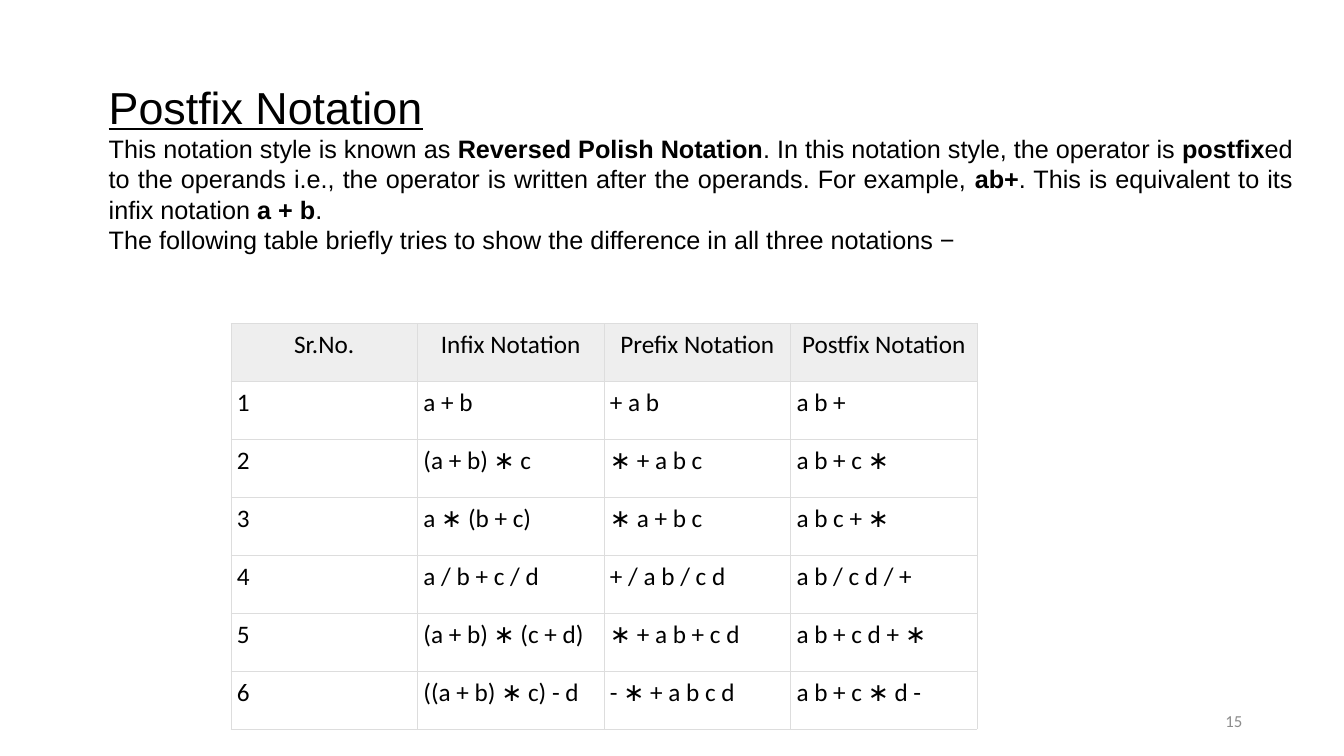
from lxml import etree
from pptx import Presentation
from pptx import util as u
from pptx.dml.color import RGBColor
from pptx.enum import text
from pptx.oxml import ns

TITLE = "Postfix Notation"
BODY = [
    [("This notation style is known as ", False), ("Reversed Polish Notation", True),
     (". In this notation style, the operator is ", False), ("postfix", True),
     ("ed to the operands i.e., the operator is written after the operands. For example, ", False),
     ("ab+", True), (". This is equivalent to its infix notation ", False),
     ("a + b", True), (".", False)],
    [("The following table briefly tries to show the difference in all three notations −", False)],
]
NOTATIONS = [
    ("Sr.No.", "Infix Notation", "Prefix Notation", "Postfix Notation"),
    ("1", "a + b", "+ a b", "a b +"),
    ("2", "(a + b) ∗ c", "∗ + a b c", "a b + c ∗"),
    ("3", "a ∗ (b + c)", "∗ a + b c", "a b c + ∗"),
    ("4", "a / b + c / d", "+ / a b / c d", "a b / c d / +"),
    ("5", "(a + b) ∗ (c + d)", "∗ + a b + c d", "a b + c d + ∗"),
    ("6", "((a + b) ∗ c) - d", "- ∗ + a b c d", "a b + c ∗ d -"),
]
PAGE = "15"
COLORS = {"ink": "000000", "header": "EEEEEE", "border": "DDDDDD", "page": "8C8C8C"}
COL_W, ROW_H, CELL_PAD = 1.85, 0.575, 0.06
ALIGN, ANCHOR = text.PP_ALIGN, text.MSO_ANCHOR


def add_run(p, words, size, font, color="ink", bold=False, underline=False):
    r = p.add_run()
    r.text = words
    r.font.size = u.Pt(size)
    r.font.name = font
    r.font.bold = bold
    r.font.underline = underline
    r.font.color.rgb = RGBColor.from_string(COLORS[color])


def add_box(s, left, top, width, height):
    tf = s.shapes.add_textbox(*map(u.Inches, (left, top, width, height))).text_frame
    tf.word_wrap = True
    return tf


def set_borders(cell):
    pr = cell._tc.get_or_add_tcPr()
    for i, side in enumerate(("lnL", "lnR", "lnT", "lnB")):
        ln = etree.Element(ns.qn("a:" + side), w=str(u.Pt(0.5)))
        fill = etree.SubElement(ln, ns.qn("a:solidFill"))
        etree.SubElement(fill, ns.qn("a:srgbClr"), val=COLORS["border"])
        pr.insert(i, ln)


def add_notation_table(s):
    rows, cols = len(NOTATIONS), len(NOTATIONS[0])
    table = s.shapes.add_table(rows, cols, u.Inches(2.29), u.Inches(3.21),
                               u.Inches(cols * COL_W), u.Inches(rows * ROW_H)).table
    table.horz_banding = False
    for row, values in zip(table.rows, NOTATIONS):
        row.height = u.Inches(ROW_H)
        header = values is NOTATIONS[0]
        for cell, value in zip(row.cells, values):
            cell.margin_left = cell.margin_right = u.Inches(CELL_PAD)
            cell.margin_top = cell.margin_bottom = u.Inches(CELL_PAD)
            if header:
                cell.fill.solid()
                cell.fill.fore_color.rgb = RGBColor.from_string(COLORS["header"])
            else:
                cell.fill.background()
            set_borders(cell)
            p = cell.text_frame.paragraphs[0]
            p.alignment = ALIGN.CENTER if header else ALIGN.LEFT
            add_run(p, value, 18, "Calibri")


def main():
    prs = Presentation()
    prs.slide_width, prs.slide_height = u.Inches(13.33), u.Inches(7.5)
    s = prs.slides.add_slide(prs.slide_layouts[6])

    add_notation_table(s)

    tf = add_box(s, 9.42, 6.95, 3, 0.4)
    tf.vertical_anchor = ANCHOR.MIDDLE
    p = tf.paragraphs[0]
    p.alignment = ALIGN.RIGHT
    add_run(p, PAGE, 12, "Calibri", "page")

    tf = add_box(s, 0.98, 0.74, 11.94, 1.85)
    tf.auto_size = text.MSO_AUTO_SIZE.SHAPE_TO_FIT_TEXT
    p = tf.paragraphs[0]
    p.alignment = ALIGN.JUSTIFY
    add_run(p, TITLE, 32, "Arial", underline=True)
    for runs in BODY:
        p = tf.add_paragraph()
        p.alignment = ALIGN.JUSTIFY
        for words, bold in runs:
            add_run(p, words, 18, "Arial", bold=bold)

    prs.save("out.pptx")


if __name__ == "__main__":
    main()
